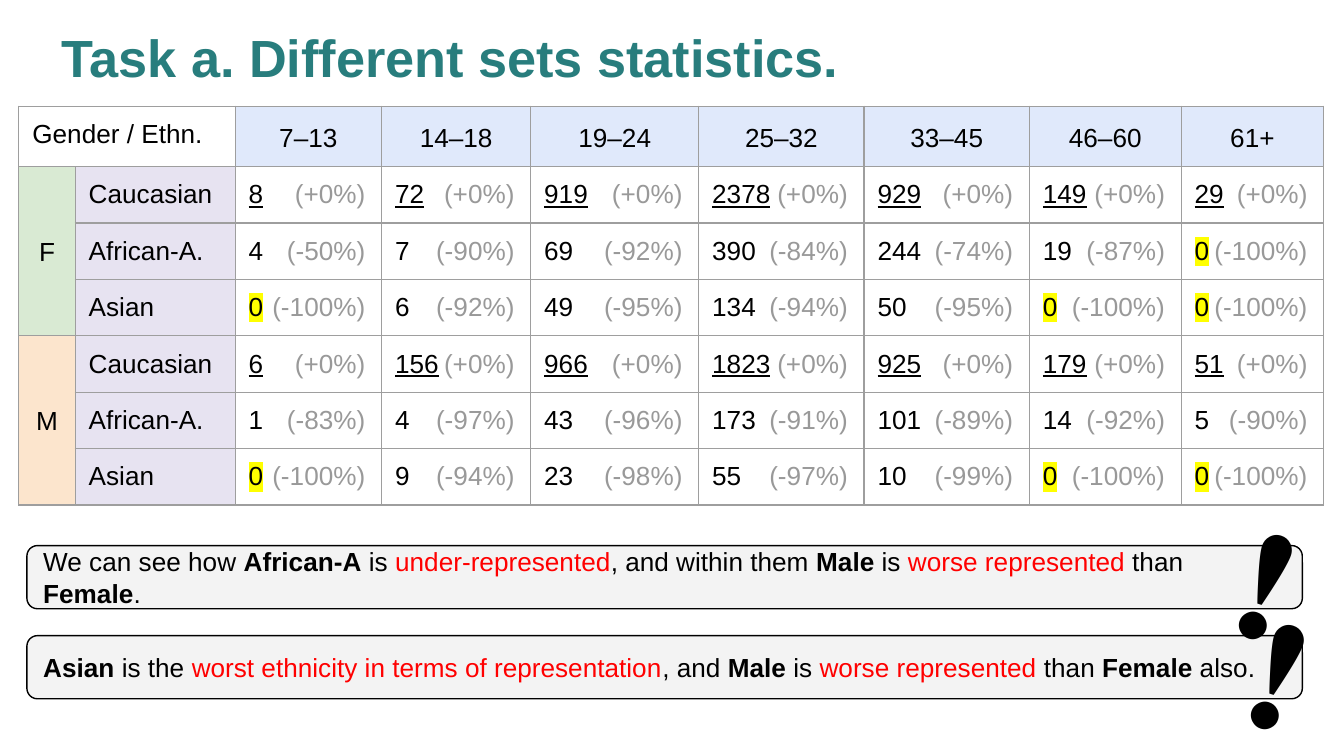
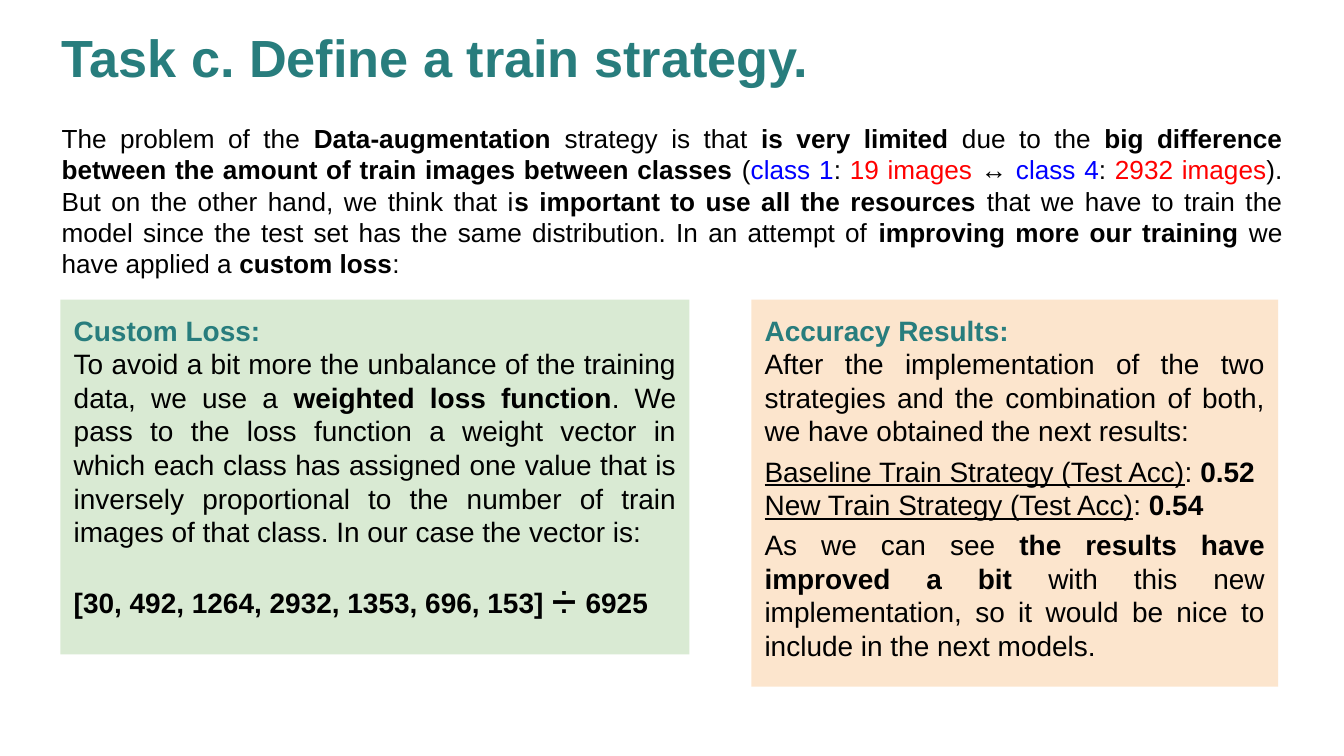
from lxml.etree import SubElement
from pptx import Presentation
from pptx.dml.color import RGBColor
from pptx.enum.shapes import MSO_SHAPE
from pptx.enum.text import MSO_ANCHOR, PP_ALIGN
from pptx.oxml.ns import qn
from pptx.util import Inches, Pt

FONT = "Arial"
TEAL = RGBColor(0x28, 0x7D, 0x7D)
BLACK = RGBColor(0, 0, 0)
RED = RGBColor(0xFF, 0, 0)
BLUE = RGBColor(0, 0, 0xFF)
PERCENT_GRAY = RGBColor(0x99, 0x99, 0x99)
BORDER_GRAY = RGBColor(0x9E, 0x9E, 0x9E)
PALE_GRAY = RGBColor(0xF3, 0xF3, 0xF3)
YELLOW = RGBColor(0xFF, 0xFF, 0)
AGE_BLUE = RGBColor(0xC9, 0xDA, 0xF8)
ETHNICITY_PURPLE = RGBColor(0xD9, 0xD2, 0xE9)
GREEN = RGBColor(0xD9, 0xEA, 0xD3)
PEACH = RGBColor(0xFC, 0xE5, 0xCD)

BOLD = {"bold": True}
UNDERLINE = {"underline": True}
IN_RED = {"color": RED}
IN_BLUE = {"color": BLUE}

AGES = ["7–13", "14–18", "19–24", "25–32", "33–45", "46–60", "61+"]
ETHNICITIES = ["Caucasian", "African-A.", "Asian"]
GENDERS = [
    ("F", GREEN, [[8, 72, 919, 2378, 929, 149, 29],
                  [4, 7, 69, 390, 244, 19, 0],
                  [0, 6, 49, 134, 50, 0, 0]]),
    ("M", PEACH, [[6, 156, 966, 1823, 925, 179, 51],
                  [1, 4, 43, 173, 101, 14, 5],
                  [0, 9, 23, 55, 10, 0, 0]]),
]
COLUMN_WIDTHS = [0.42, 1.19, 1.09, 1.11, 1.25, 1.23, 1.23, 1.13, 1.06]
HEADER_HEIGHT, ROW_HEIGHT = 0.45, 0.42

FINDINGS = [
    (4.73, 9.3, [("Asian", BOLD), " is the ",
                 ("worst ethnicity in terms of representation", IN_RED), ", and ",
                 ("Male", BOLD), " is ", ("worse represented", IN_RED), " than ",
                 ("Female", BOLD), " also."]),
    (4.06, 9.21, ["We can see how ", ("African-A", BOLD), " is ",
                  ("under-represented", IN_RED), ", and within them ",
                  ("Male", BOLD), " is ", ("worse represented", IN_RED), " than ",
                  ("Female", BOLD), "."]),
]

PROBLEM = [
    "The problem of the ", ("Data-augmentation", BOLD), " strategy is that ",
    ("is very limited", BOLD), " due to the ",
    ("big difference between the amount of train images between classes", BOLD),
    " (", ("class 1", IN_BLUE), ": ", ("19 images", IN_RED), " ↔ ",
    ("class 4", IN_BLUE), ": ", ("2932 images", IN_RED),
    "). But on the other hand, we think that i",
    ("s important to use all the resources", BOLD),
    " that we have to train the model since the test set has the same distribution."
    " In an attempt of ", ("improving more our training", BOLD),
    " we have applied a ", ("custom loss", BOLD), ":",
]

# Each panel paragraph is (space before in points, runs).
CUSTOM_LOSS = [
    (0, ["To avoid a bit more the unbalance of the training data, we use a ",
         ("weighted loss function", BOLD),
         ". We pass to the loss function a weight vector in which each class has "
         "assigned one value that is inversely proportional to the number of train "
         "images of that class. In our case the vector is:"]),
    (18, [("[30, 492, 1264, 2932, 1353, 696, 153] ", BOLD),
          ("➗ ", {"bold": True, "size": 17}), ("6925", BOLD)]),
]
ACCURACY = [
    (0, ["After the implementation of the two strategies and the combination of both, "
         "we have obtained the next results:"]),
    (3.5, [("Baseline Train Strategy (Test Acc)", UNDERLINE), ": ", ("0.52", BOLD)]),
    (0, [("New Train Strategy (Test Acc)", UNDERLINE), ": ", ("0.54", BOLD)]),
    (3.5, ["As we can see ", ("the results have improved a bit", BOLD),
           " with this new implementation, so it would be nice to include in the "
           "next models."]),
]


def write(paragraph, runs, size, color=BLACK, bold=None, align=PP_ALIGN.LEFT):
    """Fill a paragraph with plain strings and (text, style) pairs."""
    paragraph.alignment = align
    font = paragraph.font
    font.name, font.size, font.bold = FONT, Pt(size), bold
    font.color.rgb = color
    for item in runs:
        text, style = (item, {}) if isinstance(item, str) else item
        run = paragraph.add_run()
        run.text = text
        run.font.bold = style.get("bold")
        run.font.underline = style.get("underline")
        if "size" in style:
            run.font.size = Pt(style["size"])
        if "color" in style:
            run.font.color.rgb = style["color"]
        if "highlight" in style:
            highlight = SubElement(run.font._element, qn("a:highlight"))
            SubElement(highlight, qn("a:srgbClr"), val=str(style["highlight"]))


def set_frame(frame, top=0.1, anchor=MSO_ANCHOR.TOP):
    frame.word_wrap = True
    frame.vertical_anchor = anchor
    frame.margin_left = frame.margin_right = Inches(0.1)
    frame.margin_top = frame.margin_bottom = Inches(top)
    return frame


def add_text(slide, box, runs, size, top=0.1, anchor=MSO_ANCHOR.TOP, **style):
    text_box = slide.shapes.add_textbox(*map(Inches, box))
    frame = set_frame(text_box.text_frame, top, anchor)
    write(frame.paragraphs[0], runs, size, **style)
    return text_box


def add_panel(slide, preset, box, fill, line=None):
    panel = slide.shapes.add_shape(preset, *map(Inches, box))
    panel.shadow.inherit = False
    panel.fill.solid()
    panel.fill.fore_color.rgb = fill
    if line is None:
        panel.line.fill.background()
    else:
        panel.line.color.rgb = line
        panel.line.width = Pt(0.75)
    return panel


def add_titled_slide(deck, title):
    slide = deck.slides.add_slide(deck.slide_layouts[6])
    add_text(slide, (0.36, 0.16, 9.28, 0.52), [title], 28, top=0.05,
             anchor=MSO_ANCHOR.MIDDLE, color=TEAL, bold=True)
    return slide


def style_cell(cell, fill=None, opacity=100):
    """Draw the cell's borders, then its fill."""
    properties = cell._tc.get_or_add_tcPr()
    for side in ("lnL", "lnR", "lnT", "lnB"):
        border = SubElement(properties, qn(f"a:{side}"), w=str(Pt(0.75)))
        solid = SubElement(border, qn("a:solidFill"))
        SubElement(solid, qn("a:srgbClr"), val=str(BORDER_GRAY))
    if fill is None:
        cell.fill.background()
        return
    cell.fill.solid()
    cell.fill.fore_color.rgb = fill
    if opacity < 100:
        color = properties.find(f"{qn('a:solidFill')}/{qn('a:srgbClr')}")
        SubElement(color, qn("a:alpha"), val=str(opacity * 1000))


def fill_cell(cell, runs, fill=None, opacity=100, anchor=MSO_ANCHOR.TOP, **style):
    style_cell(cell, fill, opacity)
    cell.vertical_anchor = anchor
    cell.margin_left = cell.margin_right = cell.margin_top = Inches(0.1)
    cell.margin_bottom = Inches(0.08)
    paragraph = cell.text_frame.paragraphs[0]
    write(paragraph, runs, 14, **style)
    return paragraph


def fill_count(cell, count, reference, width):
    """Show a count, and at a right tab its change from the Caucasian count."""
    tabs = SubElement(cell.text_frame.paragraphs[0]._p.get_or_add_pPr(), qn("a:tabLst"))
    SubElement(tabs, qn("a:tab"), pos=str(Inches(width - 0.22)), algn="r")
    count_style = {}
    if count == reference:
        count_style = UNDERLINE
    elif count == 0:
        count_style = {"highlight": YELLOW}
    change = 100 * (count / reference - 1)
    fill_cell(cell, [(str(count), count_style),
                     (f"\t({change:+.0f}%)", {"color": PERCENT_GRAY})])


def add_statistics(slide, left, top):
    row_heights = [HEADER_HEIGHT] + [ROW_HEIGHT] * len(GENDERS) * len(ETHNICITIES)
    table = slide.shapes.add_table(
        len(row_heights), len(COLUMN_WIDTHS), Inches(left), Inches(top),
        Inches(sum(COLUMN_WIDTHS)), Inches(sum(row_heights))).table
    table.first_row = table.horz_banding = False
    for column, width in zip(table.columns, COLUMN_WIDTHS):
        column.width = Inches(width)
    for row, height in zip(table.rows, row_heights):
        row.height = Inches(height)

    table.cell(0, 0).merge(table.cell(0, 1))
    fill_cell(table.cell(0, 0), ["Gender / Ethn."])
    style_cell(table.cell(0, 1))
    for column, age in enumerate(AGES, 2):
        heading = fill_cell(table.cell(0, column), [age], AGE_BLUE, 57,
                            align=PP_ALIGN.CENTER)
        heading.line_spacing = 1.15

    for group, (gender, color, counts) in enumerate(GENDERS):
        first = 1 + group * len(ETHNICITIES)
        table.cell(first, 0).merge(table.cell(first + len(ETHNICITIES) - 1, 0))
        fill_cell(table.cell(first, 0), [gender], color, anchor=MSO_ANCHOR.MIDDLE,
                  align=PP_ALIGN.CENTER)
        for row, (ethnicity, row_counts) in enumerate(zip(ETHNICITIES, counts), first):
            if row > first:
                style_cell(table.cell(row, 0), color)
            fill_cell(table.cell(row, 1), [ethnicity], ETHNICITY_PURPLE, 61)
            for column, (count, reference) in enumerate(zip(row_counts, counts[0]), 2):
                fill_count(table.cell(row, column), count, reference,
                           COLUMN_WIDTHS[column])


def add_finding(slide, top, mark_left, runs):
    callout = add_panel(slide, MSO_SHAPE.ROUNDED_RECTANGLE, (0.2, top, 9.49, 0.47),
                        PALE_GRAY, BLACK)
    frame = set_frame(callout.text_frame, anchor=MSO_ANCHOR.MIDDLE)
    write(frame.paragraphs[0], runs, 14)
    mark = add_text(slide, (mark_left, top - 0.38, 0.74, 0.95), ["❗️"], 64)
    mark.rotation = 17.7


def add_text_panel(slide, box, fill, heading, body):
    frame = set_frame(add_panel(slide, MSO_SHAPE.RECTANGLE, box, fill).text_frame)
    write(frame.paragraphs[0], [heading], 15, TEAL, True, PP_ALIGN.JUSTIFY)
    for space, runs in body:
        paragraph = frame.add_paragraph()
        if space:
            paragraph.space_before = Pt(space)
        write(paragraph, runs, 15, align=PP_ALIGN.JUSTIFY)


def build_statistics_slide(deck):
    slide = add_titled_slide(deck, "Task a. Different sets statistics.")
    add_statistics(slide, 0.14, 0.79)
    for top, mark_left, runs in FINDINGS:
        add_finding(slide, top, mark_left, runs)


def build_strategy_slide(deck):
    slide = add_titled_slide(deck, "Task c. Define a train strategy.")
    add_text(slide, (0.36, 0.86, 9.28, 1.26), PROBLEM, 14, top=0.05,
             align=PP_ALIGN.JUSTIFY)
    add_text_panel(slide, (0.45, 2.23, 4.68, 2.64), GREEN, "Custom Loss:", CUSTOM_LOSS)
    add_text_panel(slide, (5.59, 2.23, 3.92, 2.88), PEACH, "Accuracy Results:", ACCURACY)


def main():
    deck = Presentation()
    deck.slide_width = Inches(10)
    deck.slide_height = deck.slide_width * 9 // 16
    build_statistics_slide(deck)
    build_strategy_slide(deck)
    deck.save("out.pptx")


if __name__ == "__main__":
    main()
